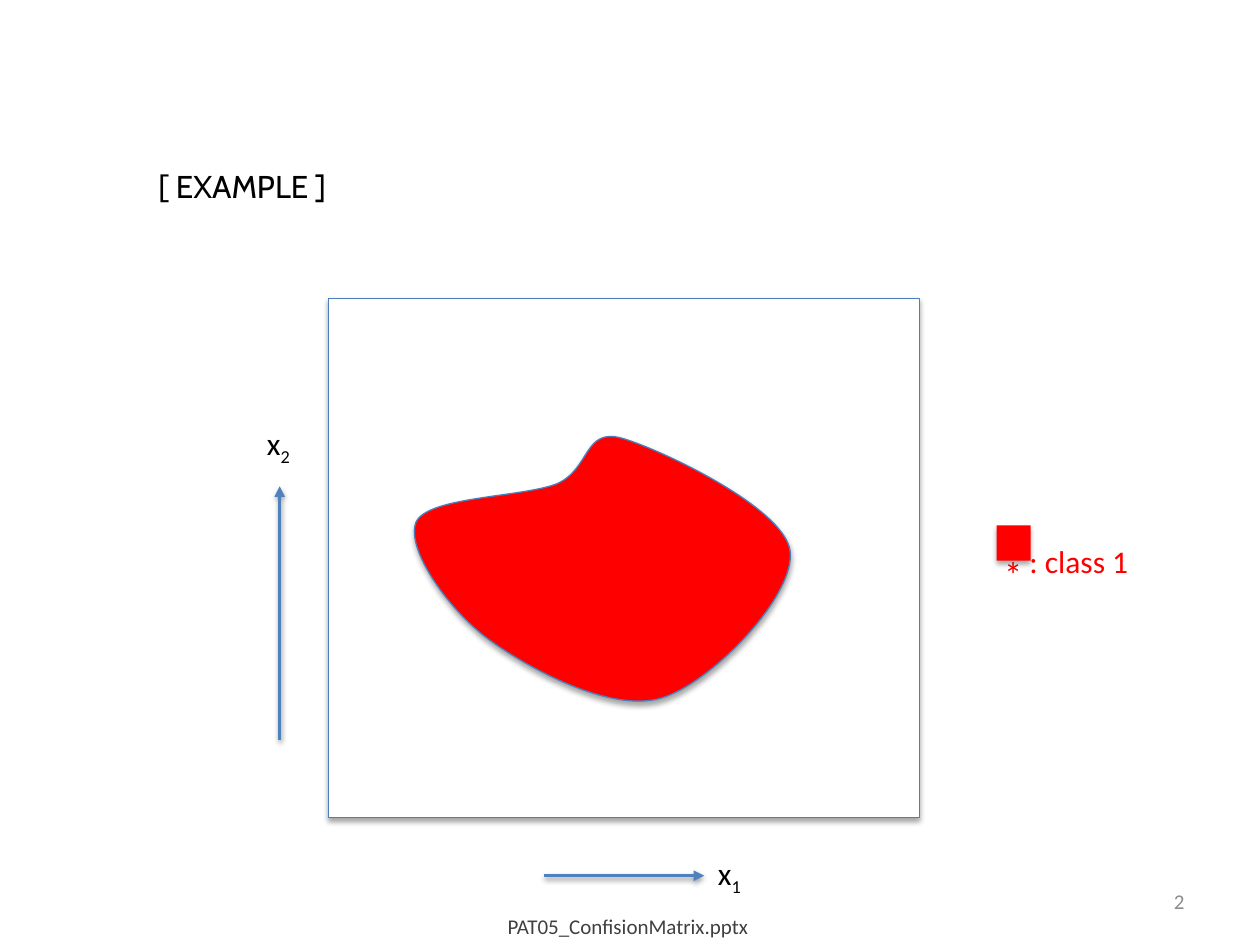
from lxml.etree import SubElement
from pptx import Presentation
from pptx.dml.color import RGBColor
from pptx.enum.shapes import MSO_CONNECTOR, MSO_SHAPE
from pptx.enum.text import MSO_ANCHOR, MSO_AUTO_SIZE, PP_ALIGN
from pptx.oxml.ns import qn
from pptx.util import Inches, Pt

COLORS = {
    "white": "FFFFFF", "black": "000000", "red": "FF0000", "outline": "4B7EBC",
    "arrow": "4F81BD", "number": "8C8C8C", "footer": "404040",
}

presentation = Presentation()
presentation.slide_width, presentation.slide_height = Inches(10), Inches(7.5)
slide = presentation.slides.add_slide(presentation.slide_layouts[6])


def add_shadow(shape, opacity, distance):
    properties = shape._element.spPr
    effects = properties.find(qn("a:effectLst"))
    if effects is None:
        effects = SubElement(properties, qn("a:effectLst"))
    shadow = SubElement(effects, qn("a:outerShdw"), blurRad=str(Pt(3.1)),
                        dist=str(Pt(distance)), dir="5400000", rotWithShape="0")
    color = SubElement(shadow, qn("a:srgbClr"), val=COLORS["black"])
    SubElement(color, qn("a:alpha"), val=str(opacity * 1000))


def style_shape(shape, fill, line=None):
    shape.fill.solid()
    shape.fill.fore_color.rgb = RGBColor.from_string(COLORS[fill])
    if line:
        shape.line.color.rgb = RGBColor.from_string(COLORS[line])
        shape.line.width = Pt(0.75)
    else:
        shape.line.fill.background()
    shape.shadow.inherit = False
    add_shadow(shape, 35, 1.8)


# Feature space
feature_space = slide.shapes.add_shape(
    MSO_SHAPE.RECTANGLE, Inches(2.61), Inches(2.37), Inches(4.69), Inches(4.12))
style_shape(feature_space, "white", "outline")

# Class region: cubic curves, each given by two control points and an end point
start = (4.42, 3.84)
curves = [
    ((4.69, 3.72), (4.63, 3.39), (4.94, 3.48)),
    ((5.25, 3.57), (6.22, 4.03), (6.27, 4.37)),
    ((6.32, 4.72), (5.65, 5.42), (5.25, 5.54)),
    ((4.86, 5.66), (4.22, 5.32), (3.9, 5.09)),
    ((3.57, 4.86), (3.22, 4.36), (3.3, 4.15)),
    ((3.38, 3.94), (4.14, 3.95), start),
]
builder = slide.shapes.build_freeform(Inches(start[0]), Inches(start[1]))
builder.add_line_segments(
    [(Inches(end[0]), Inches(end[1])) for _, _, end in curves], close=True)
region = builder.convert_to_shape()
left, top, width, height = 3.29, 3.46, 2.99, 2.1
region.left, region.top = Inches(left), Inches(top)
region.width, region.height = Inches(width), Inches(height)

# Turn the straight segments of the region into curves
outline = region._element.spPr.find(".//" + qn("a:path"))
outline.set("w", str(Inches(width)))
outline.set("h", str(Inches(height)))
for segment in list(outline):
    outline.remove(segment)
segments = [("a:moveTo", [start])] + [("a:cubicBezTo", curve) for curve in curves]
for tag, points in segments:
    segment = SubElement(outline, qn(tag))
    for x, y in points:
        SubElement(segment, qn("a:pt"), x=str(Inches(x - left)), y=str(Inches(y - top)))
SubElement(outline, qn("a:close"))
style_shape(region, "red", "outline")

# Axis arrows
for x1, y1, x2, y2 in [(2.22, 5.87, 2.22, 3.86), (4.32, 6.95, 5.59, 6.95)]:
    arrow = slide.shapes.add_connector(
        MSO_CONNECTOR.STRAIGHT, Inches(x1), Inches(y1), Inches(x2), Inches(y2))
    arrow.line.color.rgb = RGBColor.from_string(COLORS["arrow"])
    arrow.line.width = Pt(2)
    SubElement(arrow.line._get_or_add_ln(), qn("a:tailEnd"), type="triangle")
    add_shadow(arrow, 38, 1.6)

# Texts: position, font, colour, runs of (text, size, baseline shift in percent)
texts = [
    ((1.16, 1.28, 1.54, 0.4), "Cabin", "black", [("[ EXAMPLE ]", 18, 0)]),
    ((5.6, 6.73, 0.4, 0.4), "Calibri", "black", [("x", 18, 0), ("1", 18, -25)]),
    ((2.02, 3.32, 0.4, 0.4), "Calibri", "black", [("x", 18, 0), ("2", 18, -25)]),
    ((7.87, 4, 1.28, 0.5), "Calibri", "red", [("*", 36, -25), (" : class 1", 18, 0)]),
    ((7.17, 6.95, 2.33, 0.4), "Calibri", "number", [("2", 12, 0)]),
    ((3.93, 7.2, 2.13, 0.3), "Calibri", "footer", [("PAT05_ConfisionMatrix.pptx", 12, 0)]),
]
for position, font, color, runs in texts:
    box = slide.shapes.add_textbox(*[Inches(value) for value in position])
    frame = box.text_frame
    paragraph = frame.paragraphs[0]
    if color == "number":
        frame.word_wrap = True
        frame.vertical_anchor = MSO_ANCHOR.MIDDLE
        paragraph.alignment = PP_ALIGN.RIGHT
    else:
        frame.word_wrap = False
        frame.auto_size = MSO_AUTO_SIZE.SHAPE_TO_FIT_TEXT
    for text, size, baseline in runs:
        run = paragraph.add_run()
        run.text = text
        run.font.name = font
        run.font.size = Pt(size)
        run.font.color.rgb = RGBColor.from_string(COLORS[color])
        if baseline:
            run.font._element.set("baseline", str(baseline * 1000))

# Legend swatch
swatch = slide.shapes.add_shape(
    MSO_SHAPE.RECTANGLE, Inches(7.91), Inches(4.17), Inches(0.27), Inches(0.28))
style_shape(swatch, "red")

presentation.save("out.pptx")
